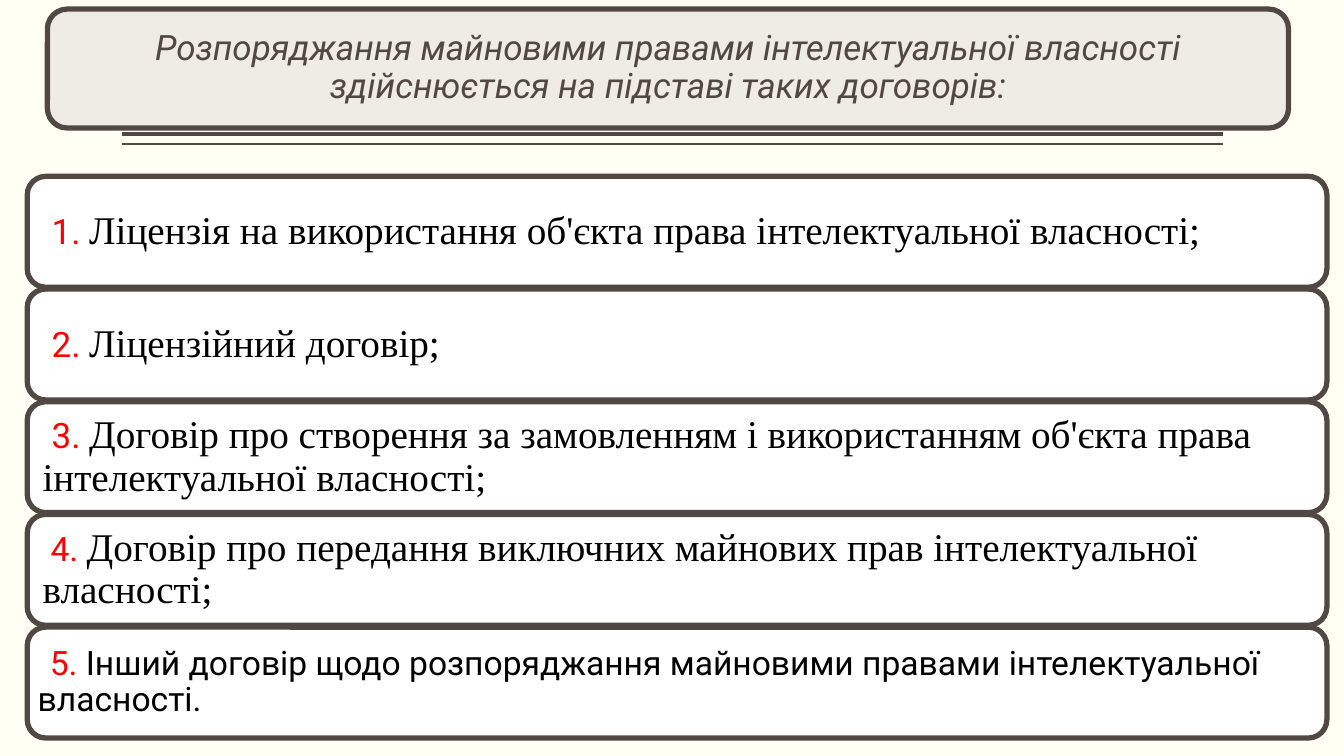
from pptx import Presentation, util as u
from pptx.dml.color import RGBColor
from pptx.enum import shapes, text
from pptx.oxml.ns import qn
from lxml import etree

WIDTH, HEIGHT = 13.33, 7.5
BROWN, RED, BLACK = "514843", "FF0000", "000000"
SANS, SERIF = "Roboto", "Times New Roman"

# Rows of contracts: left edge, first top, width, row height, row pitch
LEFT, TOP, ROW_WIDTH, ROW_HEIGHT, PITCH = 0.27, 1.75, 12.89, 1.1, 1.118

HEADING = ("Розпоряджання майновими правами інтелектуальної власності "
           "здійснюється на підставі таких договорів:")

# Contract, number size, contract font and size, inset, first-line indent
CONTRACTS = [
    ("Ліцензія на використання об'єкта права інтелектуальної власності;",
     25, SERIF, 28, 0.1, 0.09),
    ("Ліцензійний договір;", 25, SERIF, 28, 0.1, 0.09),
    ("Договір про створення за замовленням і використанням об'єкта права "
     "інтелектуальної власності;", 25, SERIF, 28, 0.1, 0.09),
    ("Договір про передання виключних майнових прав інтелектуальної власності;",
     24, SERIF, 28, 0.1, 0.08),
    ("Інший договір щодо розпоряджання майновими правами інтелектуальної "
     "власності.", 24, SANS, 24, 0.05, 0.12),
]


def color(value):
    return RGBColor.from_string(value)


def set_all(target, values):
    for name, value in values.items():
        setattr(target, name, value)


def add_rule(slide, y, weight):
    """Horizontal rule under the heading."""
    rule = slide.shapes.add_connector(
        shapes.MSO_CONNECTOR.STRAIGHT,
        u.Inches(12.13), u.Inches(y), u.Inches(1.21), u.Inches(y))
    rule.line.color.rgb = color(BROWN)
    rule.line.width = u.Pt(weight)
    etree.SubElement(rule._element.spPr, qn("a:effectLst"))


def add_panel(slide, box, fill, inset=0.1, align=text.PP_ALIGN.LEFT):
    """Rounded panel; returns its paragraph, ready for words."""
    panel = slide.shapes.add_shape(
        shapes.MSO_SHAPE.ROUNDED_RECTANGLE, *map(u.Inches, box))
    panel.shadow.inherit = False
    panel.fill.solid()
    panel.fill.fore_color.rgb = color(fill)
    panel.line.color.rgb = color(BROWN)
    panel.line.width = u.Pt(3.78)
    margin = u.Inches(inset)
    set_all(panel.text_frame, {
        "word_wrap": True, "vertical_anchor": text.MSO_ANCHOR.MIDDLE,
        "margin_left": margin, "margin_right": margin,
        "margin_top": margin, "margin_bottom": margin})
    words = panel.text_frame.paragraphs[0]
    set_all(words, {"alignment": align, "line_spacing": 0.9})
    return words


def add_words(paragraph, wording, size, font, shade, italic=False):
    run = paragraph.add_run()
    run.text = wording
    set_all(run.font, {"size": u.Pt(size), "name": font, "italic": italic})
    run.font.color.rgb = color(shade)


def main():
    deck = Presentation()
    set_all(deck, {"slide_width": u.Inches(WIDTH),
                   "slide_height": u.Inches(HEIGHT)})
    slide = deck.slides.add_slide(deck.slide_layouts[6])
    slide.background.fill.solid()
    slide.background.fill.fore_color.rgb = color("FFFFF3")

    # Double rule and heading
    add_rule(slide, 1.33, 3)
    add_rule(slide, 1.43, 1)
    heading = add_panel(slide, (0.47, 0.09, 12.31, 1.18), "EFEBE5",
                        align=text.PP_ALIGN.CENTER)
    add_words(heading, HEADING, 25, SANS, BROWN, italic=True)

    # Numbered contracts
    for row, (contract, number_size, font, size, inset, indent) in enumerate(CONTRACTS):
        box = (LEFT, TOP + row * PITCH, ROW_WIDTH, ROW_HEIGHT)
        item = add_panel(slide, box, "FFFFFF", inset)
        item._p.get_or_add_pPr().set("indent", str(u.Inches(indent)))
        add_words(item, f"{row + 1}. ", number_size, SANS, RED)
        add_words(item, contract, size, font, BLACK)

    deck.save("out.pptx")


if __name__ == "__main__":
    main()
